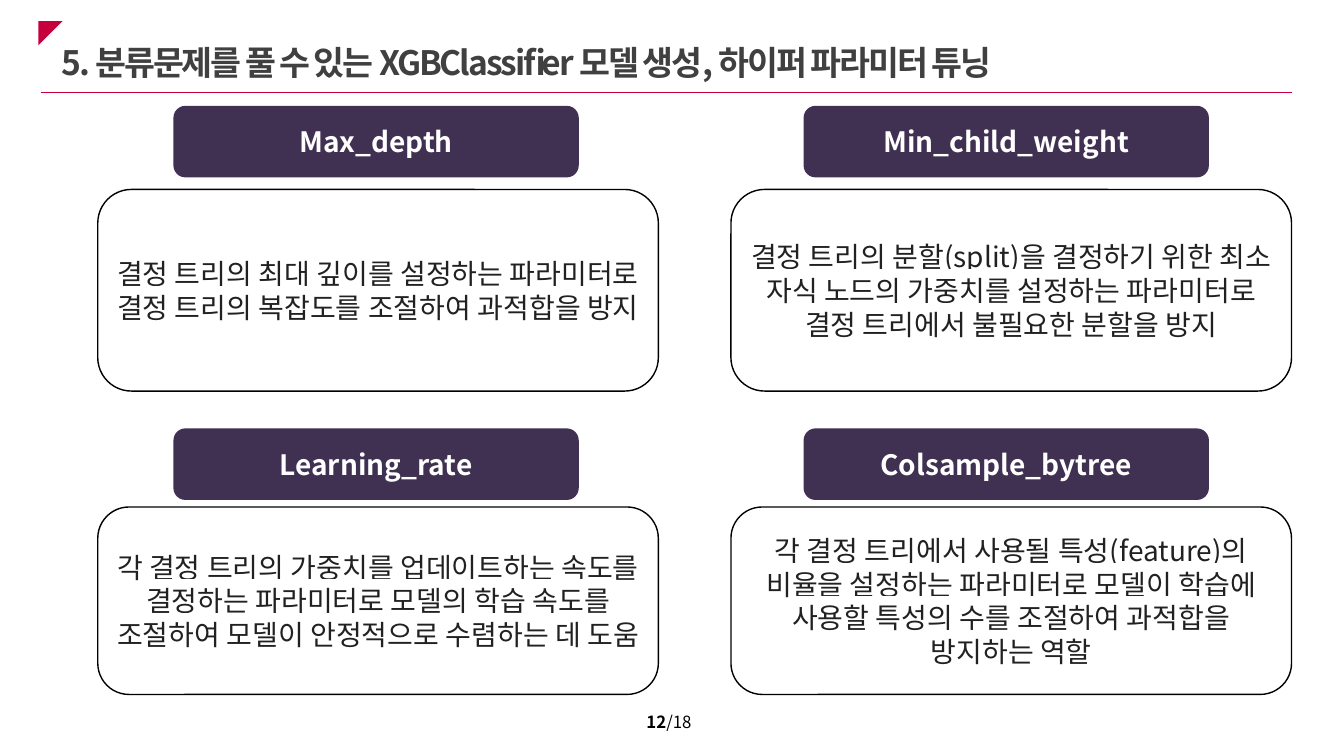
from lxml.etree import SubElement
from pptx import Presentation
from pptx.dml.color import RGBColor
from pptx.enum.shapes import MSO_CONNECTOR as LINE, MSO_SHAPE as SHAPE
from pptx.enum.text import MSO_ANCHOR as ANCHOR, MSO_AUTO_SIZE as AUTO, PP_ALIGN as ALIGN
from pptx.oxml.ns import qn
from pptx.util import Inches, Pt

FONT = "Noto Sans CJK KR"
CRIMSON, PURPLE, WHITE, BLACK = "C5003D", "403152", "FFFFFF", "000000"


def color(hex_code):
    return RGBColor.from_string(hex_code)


def add_run(paragraph, words, size, ink, bold=False, highlight=None):
    run = paragraph.add_run()
    run.text = words
    run.font.size = Pt(size)
    run.font.bold = bold
    run.font.color.rgb = color(ink)
    run.font.name = FONT
    props = run._r.get_or_add_rPr()
    SubElement(props, qn("a:ea")).set("typeface", FONT)
    if highlight:
        marker = SubElement(props, qn("a:highlight"))
        SubElement(marker, qn("a:srgbClr")).set("val", highlight)
        props.find(qn("a:latin")).addprevious(marker)
    return props


deck = Presentation()
deck.slide_width, deck.slide_height = Inches(13.33), Inches(7.5)
slide = deck.slides.add_slide(deck.slide_layouts[6])
shapes = slide.shapes

rule_left, rule_right, rule_y = Inches(0.41), Inches(12.81), Inches(0.92)
title_rule = shapes.add_connector(LINE.STRAIGHT, rule_left, rule_y, rule_right, rule_y)
title_rule.line.color.rgb = color(CRIMSON)
title_rule.line.width = Pt(0.75)
SubElement(title_rule._element.spPr, qn("a:effectLst"))

page_number = shapes.add_textbox(Inches(5.88), Inches(6.98), Inches(1.51), Inches(0.37)).text_frame
page_number.word_wrap = True
page_number.vertical_anchor = ANCHOR.MIDDLE
page_line = page_number.paragraphs[0]
page_line.alignment = ALIGN.CENTER
add_run(page_line, "12", 12, BLACK, bold=True)
add_run(page_line, "/18", 12, BLACK)

corner = shapes.add_shape(SHAPE.ISOSCELES_TRIANGLE, Inches(0.38), Inches(0.21), Inches(0.24), Inches(0.24))
corner.adjustments[0] = 1
corner.rotation = 180
corner.shadow.inherit = False
corner.fill.solid()
corner.fill.fore_color.rgb = color(CRIMSON)
corner.line.fill.background()

title = shapes.add_textbox(Inches(0.51), Inches(0.17), Inches(10.29), Inches(0.64)).text_frame
title.word_wrap = True
title.auto_size = AUTO.SHAPE_TO_FIT_TEXT
title_line = title.paragraphs[0]
title_line.line_spacing = 1.5
title_props = add_run(
    title_line,
    "5. 분류문제를 풀 수 있는 XGBClassifier 모델 생성, 하이퍼 파라미터 튜닝",
    24, "404040", bold=True, highlight=WHITE)
title_props.set("spc", "-150")

parameters = [
    ("Max_depth", "결정 트리의 최대 깊이를 설정하는 파라미터로 결정 트리의 복잡도를 조절하여 과적합을 방지"),
    ("Min_child_weight", "결정 트리의 분할(split)을 결정하기 위한 최소 자식 노드의 가중치를 설정하는 "
                         "파라미터로 결정 트리에서 불필요한 분할을 방지"),
    ("Learning_rate", "각 결정 트리의 가중치를 업데이트하는 속도를 결정하는 파라미터로 모델의 학습 속도를 "
                      "조절하여 모델이 안정적으로 수렴하는 데 도움"),
    ("Colsample_bytree", "각 결정 트리에서 사용될 특성(feature)의 비율을 설정하는 파라미터로 모델이 학습에 "
                         "사용할 특성의 수를 조절하여 과적합을 방지하는 역할"),
]
columns = [(1.72, 0.97), (7.97, 7.25)]
rows = [(1.05, 1.88, 2.0), (4.25, 5.03, 1.86)]

for index, (name, description) in enumerate(parameters):
    row, column = divmod(index, 2)
    name_left, card_left = columns[column]
    name_top, card_top, card_height = rows[row]
    parts = [
        (name, (name_left, name_top, 4.02, 0.71), PURPLE, None, (0.04, 0.04), WHITE, True, None),
        (description, (card_left, card_top, 5.56, card_height), WHITE, BLACK, (0, 0.05), "212121", False, WHITE),
    ]
    for words, place, fill, outline, (side, edge), ink, bold, highlight in parts:
        box = shapes.add_shape(SHAPE.ROUNDED_RECTANGLE, *map(Inches, place))
        box.shadow.inherit = False
        box.fill.solid()
        box.fill.fore_color.rgb = color(fill)
        if outline:
            box.line.color.rgb = color(outline)
            box.line.width = Pt(1)
        else:
            box.line.fill.background()
        frame = box.text_frame
        frame.word_wrap = True
        frame.vertical_anchor = ANCHOR.MIDDLE
        frame.margin_left = frame.margin_right = Inches(side)
        frame.margin_top = frame.margin_bottom = Inches(edge)
        frame.paragraphs[0].alignment = ALIGN.CENTER
        add_run(frame.paragraphs[0], words, 20, ink, bold, highlight)

deck.save("out.pptx")
